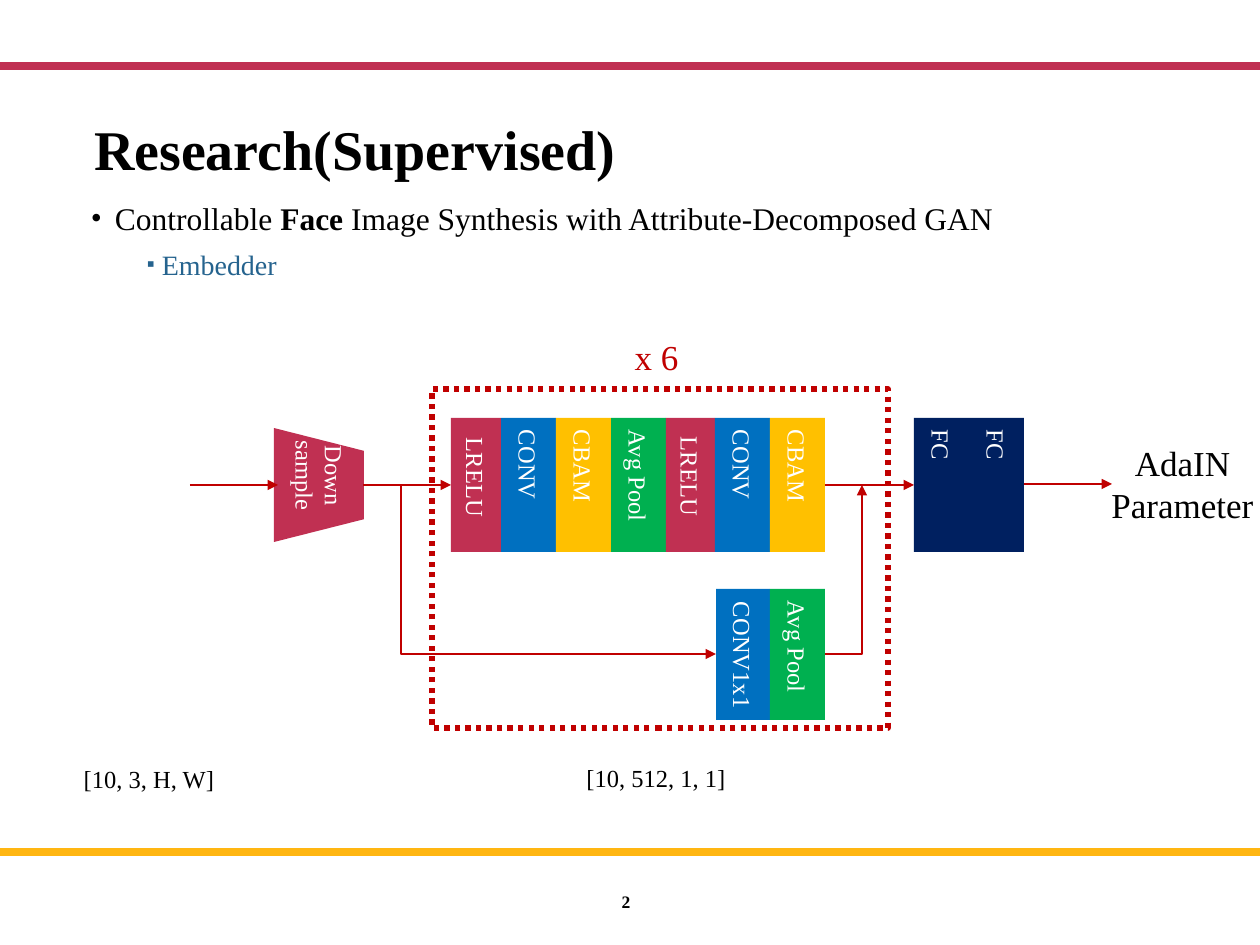
from lxml import etree
from pptx import Presentation
from pptx import util as u
from pptx.dml.color import RGBColor
from pptx.enum import dml, shapes, text
from pptx.oxml.ns import qn

SCALE = 914400 / 126  # EMU per px
FONT = "Times New Roman"
RED, CRIMSON, BLUE, AMBER = "C00000", "C03052", "0070C0", "FFC000"
GREEN, NAVY, GOLD, BLACK, WHITE = "00B050", "002060", "FFB612", "000000", "FFFFFF"


def box(kind, at, fill=None):
    """Add a preset shape, or a text box when kind is None."""
    place = [u.Emu(round(v * SCALE)) for v in at]
    if kind is None:
        sp = s.shapes.add_textbox(*place)
    else:
        sp = s.shapes.add_shape(kind, *place)
        sp.shadow.inherit = False
        sp.line.fill.background()
        if fill:
            sp.fill.solid()
            sp.fill.fore_color.rgb = RGBColor.from_string(fill)
        else:
            sp.fill.background()
    tf = sp.text_frame
    tf.word_wrap = True
    tf.margin_left = tf.margin_right = tf.margin_top = tf.margin_bottom = 0
    tf.vertical_anchor = text.MSO_ANCHOR.MIDDLE
    return sp


def write(p, words, size, color, align=text.PP_ALIGN.CENTER, bold=False):
    """Append one run to a paragraph."""
    p.alignment = align
    r = p.add_run()
    r.text = words
    r.font.name, r.font.size, r.font.bold = FONT, u.Pt(size), bold
    r.font.color.rgb = RGBColor.from_string(color)


prs = Presentation()
prs.slide_width, prs.slide_height = u.Inches(10), u.Inches(7.5)
s = prs.slides.add_slide(prs.slide_layouts[1])
RECT = shapes.MSO_SHAPE.RECTANGLE
LEFT = text.PP_ALIGN.LEFT

# Bands and the frame of the repeated part
box(RECT, (0, 848, 1260, 8), GOLD)
box(RECT, (0, 62, 1260, 8), CRIMSON)
frame = box(RECT, (432, 389, 456, 339))
frame.line.color.rgb = RGBColor.from_string(RED)
frame.line.width = u.Pt(3)
frame.line.dash_style = dml.MSO_LINE.ROUND_DOT

# Title and bullets
title, body = s.shapes.title, s.placeholders[1]
for ph, at, anchor in (
    (title, (94, 74, 1121, 108), text.MSO_ANCHOR.BOTTOM),
    (body, (91, 199, 956, 90), text.MSO_ANCHOR.TOP),
):
    ph.left, ph.top, ph.width, ph.height = [u.Emu(round(v * SCALE)) for v in at]
    tf = ph.text_frame
    tf.margin_left = tf.margin_right = tf.margin_top = tf.margin_bottom = 0
    tf.vertical_anchor = anchor
    tf.auto_size = text.MSO_AUTO_SIZE.NONE
write(title.text_frame.paragraphs[0], "Research(Supervised)", 32, BLACK, LEFT, True)

topic = body.text_frame.paragraphs[0]
part = body.text_frame.add_paragraph()
part.level = 1
for p, mark, percent, margin, hang, before in (
    (topic, "•", 100, 24, 24, 0),
    (part, "▪", 80, 71, 15, 6),
):
    pPr = p._p.get_or_add_pPr()
    pPr.set("marL", str(round(margin * SCALE)))
    pPr.set("indent", str(round(-hang * SCALE)))
    etree.SubElement(pPr, qn("a:buSzPct"), val=str(percent * 1000))
    etree.SubElement(pPr, qn("a:buFont"), typeface=FONT)
    etree.SubElement(pPr, qn("a:buChar"), char=mark)
    p.space_before = u.Pt(before)
for words, bold in (
    ("Controllable ", False),
    ("Face", True),
    (" Image Synthesis with Attribute-Decomposed GAN", False),
):
    write(topic, words, 18, BLACK, LEFT, bold)
write(part, "Embedder", 16, "25638E", LEFT)

# Network blocks, each row laid side by side: label, width, colour, text inset
rows = (
    (451, 418, 134, (
        ("LRELU", 50, CRIMSON, 20), ("CONV", 55, BLUE, 12), ("CBAM", 55, AMBER, 12),
        ("Avg Pool", 55, GREEN, 12), ("LRELU", 49, CRIMSON, 19), ("CONV", 55, BLUE, 12),
        ("CBAM", 55, AMBER, 12))),
    (716, 589, 131, (("CONV1x1", 54, BLUE, 13), ("Avg Pool", 55, GREEN, 12))),
    (914, 418, 134, (("FC", 55, NAVY, 12), ("FC", 55, NAVY, 12))),
)
for x, y, height, blocks in rows:
    for label, width, color, inset in blocks:
        sp = box(RECT, (x, y, width, height), color)
        sp.text_frame.margin_top = u.Emu(round(inset * SCALE))
        sp.text_frame._txBody.bodyPr.set("vert", "vert")
        write(sp.text_frame.paragraphs[0], label, 14, WHITE, LEFT)
        x += width

funnel = box(shapes.MSO_SHAPE.FLOWCHART_MANUAL_OPERATION, (262, 440, 114, 90), CRIMSON)
funnel.rotation = 270
funnel_label = box(None, (278, 437, 84, 77))
funnel_label.text_frame._txBody.bodyPr.set("vert", "vert")

# Arrows: start, end, width, preset
for x1, y1, x2, y2, weight, preset in (
    (190, 485, 278, 485, 0.75, "line"),
    (363, 485, 451, 485, 0.75, "line"),
    (401, 485, 716, 654, 1, "bentConnector3"),
    (825, 485, 914, 485, 0.75, "line"),
    (825, 654, 862, 485, 1, "bentConnector2"),
    (1024, 484, 1112, 484, 0.75, "line"),
):
    ends = [u.Emu(round(v * SCALE)) for v in (x1, y1, x2, y2)]
    arrow = s.shapes.add_connector(shapes.MSO_CONNECTOR.STRAIGHT, *ends)
    arrow.line.color.rgb = RGBColor.from_string(RED)
    arrow.line.width = u.Pt(weight)
    spPr = arrow._element.spPr
    geom = spPr.find(qn("a:prstGeom"))
    geom.set("prst", preset)
    if preset == "bentConnector3":  # turn right at the start
        etree.SubElement(geom.find(qn("a:avLst")), qn("a:gd"), name="adj1", fmla="val 0")
    etree.SubElement(spPr.find(qn("a:ln")), qn("a:tailEnd"), type="triangle")
    etree.SubElement(spPr, qn("a:effectLst"))

# Captions
for sp, lines, size, color, bold in (
    (funnel_label, ("Down", "sample"), 14, WHITE, False),
    (box(None, (602, 329, 109, 55)), ("x 6",), 20, RED, False),
    (box(None, (64, 757, 170, 43)), ("[10, 3, H, W]",), 14, BLACK, False),
    (box(None, (571, 756, 170, 43)), ("[10, 512, 1, 1]",), 14, BLACK, False),
    (box(None, (1096, 435, 173, 97)), ("AdaIN", "Parameter"), 20, BLACK, False),
    (box(None, (500, 882, 252, 40)), ("2",), 10, BLACK, True),
):
    tf = sp.text_frame
    for i, words in enumerate(lines):
        p = tf.add_paragraph() if i else tf.paragraphs[0]
        write(p, words, size, color, bold=bold)

prs.save("out.pptx")
